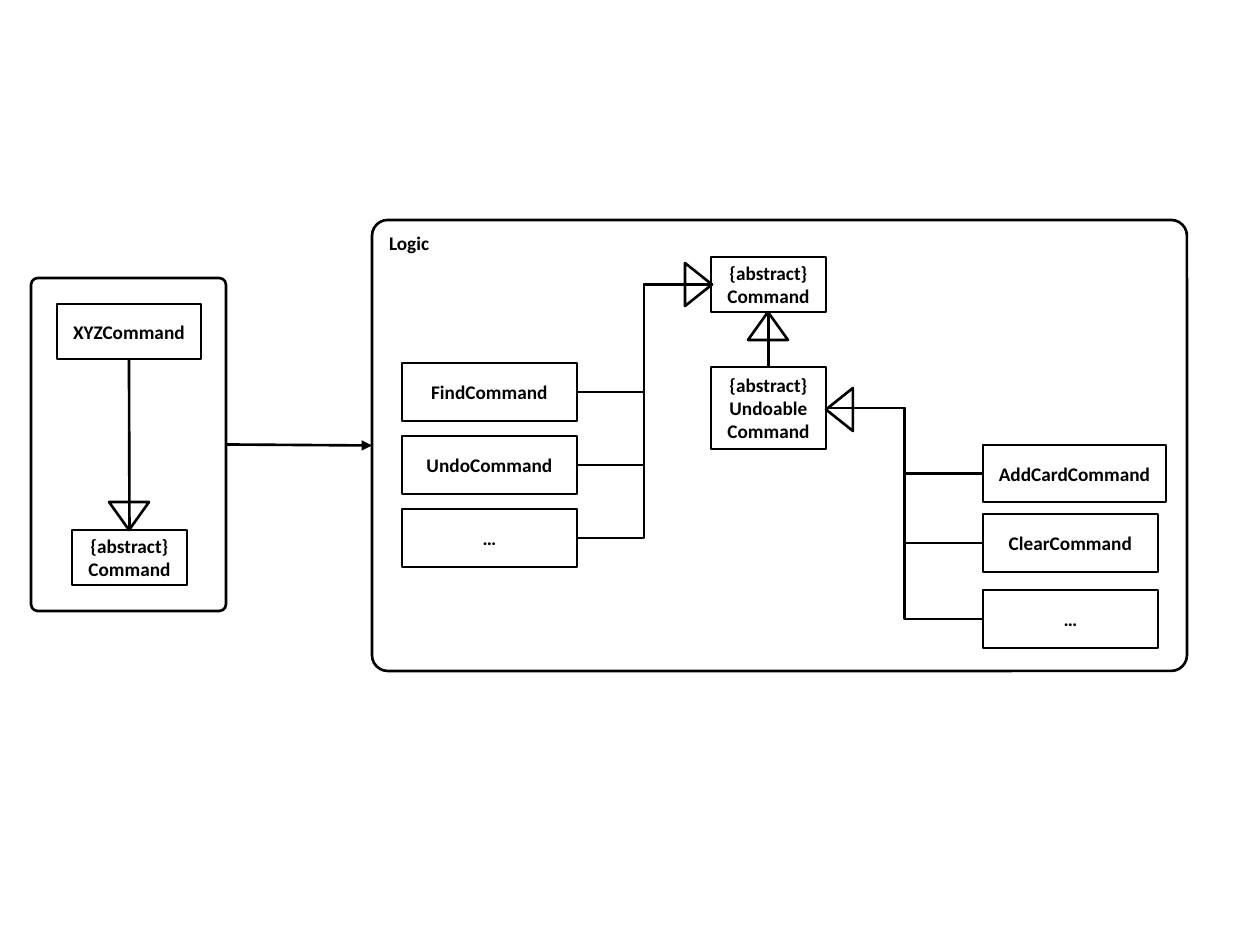
from lxml import etree
from pptx import Presentation
from pptx.dml.color import RGBColor
from pptx.enum.shapes import MSO_CONNECTOR, MSO_SHAPE
from pptx.enum.text import MSO_ANCHOR, PP_ALIGN
from pptx.oxml.ns import qn
from pptx.util import Emu, Pt

RECTANGLE, ROUNDED = MSO_SHAPE.RECTANGLE, MSO_SHAPE.ROUNDED_RECTANGLE
TRIANGLE = MSO_SHAPE.ISOSCELES_TRIANGLE
ELBOW, STRAIGHT = MSO_CONNECTOR.ELBOW, MSO_CONNECTOR.STRAIGHT
CENTER, LEFT_ALIGNED = PP_ALIGN.CENTER, PP_ALIGN.LEFT
MIDDLE, TOP_ANCHOR = MSO_ANCHOR.MIDDLE, MSO_ANCHOR.TOP
TOP, LEFT, BOTTOM, RIGHT = range(4)
SCALE = 914400 / 126
BLACK = "000000"
FONT = "Calibri"

PACKAGES = {
    "package": ((31, 278, 195, 333), []),
    "logic": ((372, 220, 815, 451), [["Logic"]]),
}
CLASSES = {
    "command": ((711, 257, 115, 55), [["{abstract}", "Command"]]),
    "undoable": ((711, 367, 115, 82), [["{abstract}", "Undoable"], ["Command"]]),
    "add": ((983, 445, 183, 57), [["AddCardCommand"]]),
    "clear": ((983, 514, 175, 58), [["ClearCommand"]]),
    "more_undoable": ((983, 590, 175, 58), [["…"]]),
    "xyz": ((57, 304, 144, 55), [["XYZCommand"]]),
    "base": ((72, 530, 115, 55), [["{abstract}", "Command"]]),
}
for row, (key, label) in enumerate([("find", "FindCommand"), ("undo", "UndoCommand"), ("more", "…")]):
    CLASSES[key] = ((402, 363 + 73 * row, 175, 58), [[label]])

LINKS = [
    (ELBOW, "command", LEFT, ["find", "undo", "more"], RIGHT),
    (ELBOW, "undoable", RIGHT, ["add", "clear", "more_undoable"], LEFT),
    (STRAIGHT, "command", BOTTOM, ["undoable"], TOP),
    (STRAIGHT, "base", TOP, ["xyz"], BOTTOM),
]
TRIANGLES = [
    ((748, 312, 40, 28), 0),
    ((818, 396, 43, 27), 270),
    ((677, 271, 43, 27), 90),
    ((109, 502, 40, 28), 180),
]


def px(value):
    return Emu(round(value * SCALE))


def color(value):
    return RGBColor.from_string(value)


def set_line(item):
    item.line.color.rgb = color(BLACK)
    item.line.width = Pt(1.5)


def add_outline(kind, box):
    shape = slide.shapes.add_shape(kind, *map(px, box))
    shape.shadow.inherit = False
    shape.fill.background()
    set_line(shape)
    return shape


def write(shape, paragraphs, align, anchor):
    frame = shape.text_frame
    frame.word_wrap = True
    frame.vertical_anchor = anchor
    for index, lines in enumerate(paragraphs):
        paragraph = frame.add_paragraph() if index else frame.paragraphs[0]
        paragraph.alignment = align
        for number, text in enumerate(lines):
            if number:
                paragraph.add_line_break()
            run = paragraph.add_run()
            run.text = text
            run.font.name = FONT
            run.font.size = Pt(11)
            run.font.bold = True
            run.font.color.rgb = color(BLACK)


def connect(kind, start, start_site, end, end_site):
    connector = slide.shapes.add_connector(kind, 0, 0, 0, 0)
    connector.begin_connect(shapes[start], start_site)
    connector.end_connect(shapes[end], end_site)
    set_line(connector)
    etree.SubElement(connector._element.spPr, qn("a:effectLst"))
    return connector


presentation = Presentation()
presentation.slide_width, presentation.slide_height = px(1260), px(945)
slide = presentation.slides.add_slide(presentation.slide_layouts[6])
shapes = {}

for name, (box, paragraphs) in PACKAGES.items():
    shapes[name] = add_outline(ROUNDED, box)
    shapes[name].adjustments[0] = 0.035
    write(shapes[name], paragraphs, LEFT_ALIGNED, TOP_ANCHOR)

for name, (box, paragraphs) in CLASSES.items():
    shapes[name] = add_outline(RECTANGLE, box)
    write(shapes[name], paragraphs, CENTER, MIDDLE)

for kind, parent, parent_site, children, child_site in LINKS:
    for child in children:
        connect(kind, parent, parent_site, child, child_site)

for box, rotation in TRIANGLES:
    add_outline(TRIANGLE, box).rotation = rotation

arrow = connect(STRAIGHT, "package", RIGHT, "logic", LEFT)
etree.SubElement(arrow.line._get_or_add_ln(), qn("a:tailEnd"), type="triangle")

presentation.save("out.pptx")
